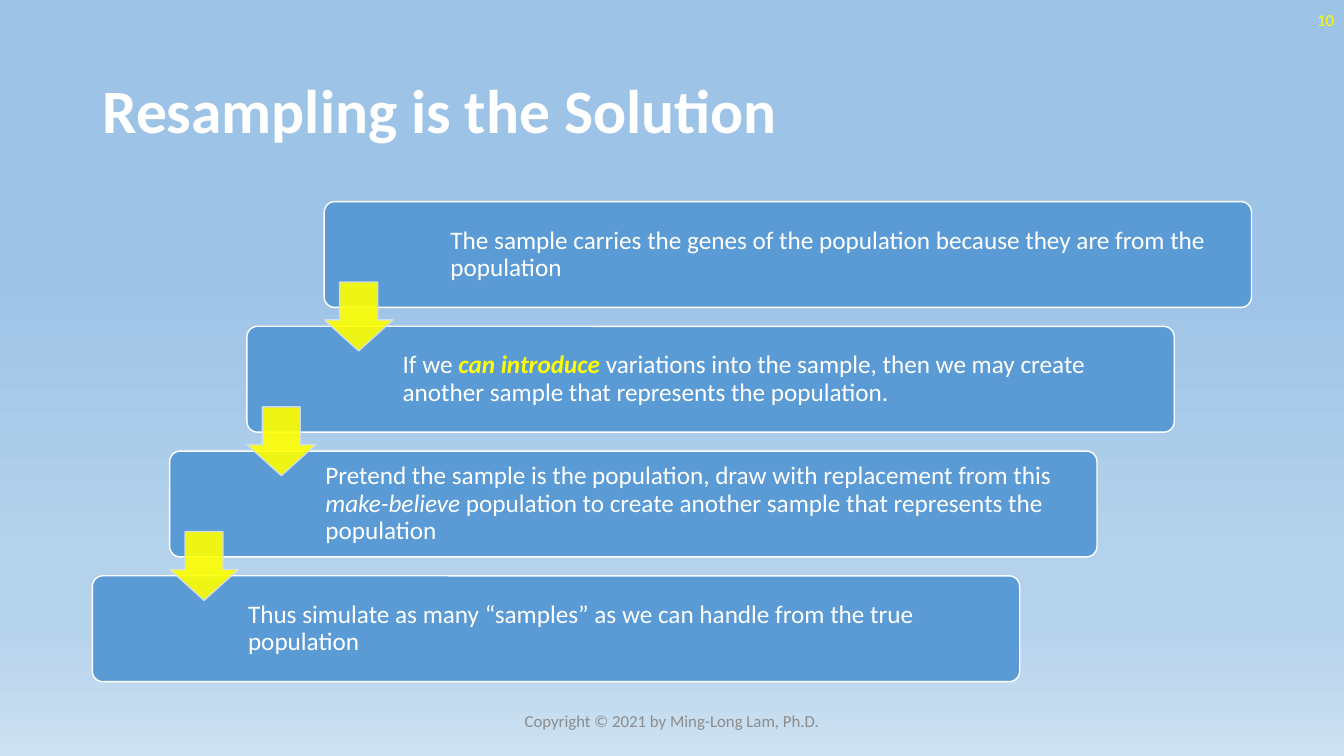
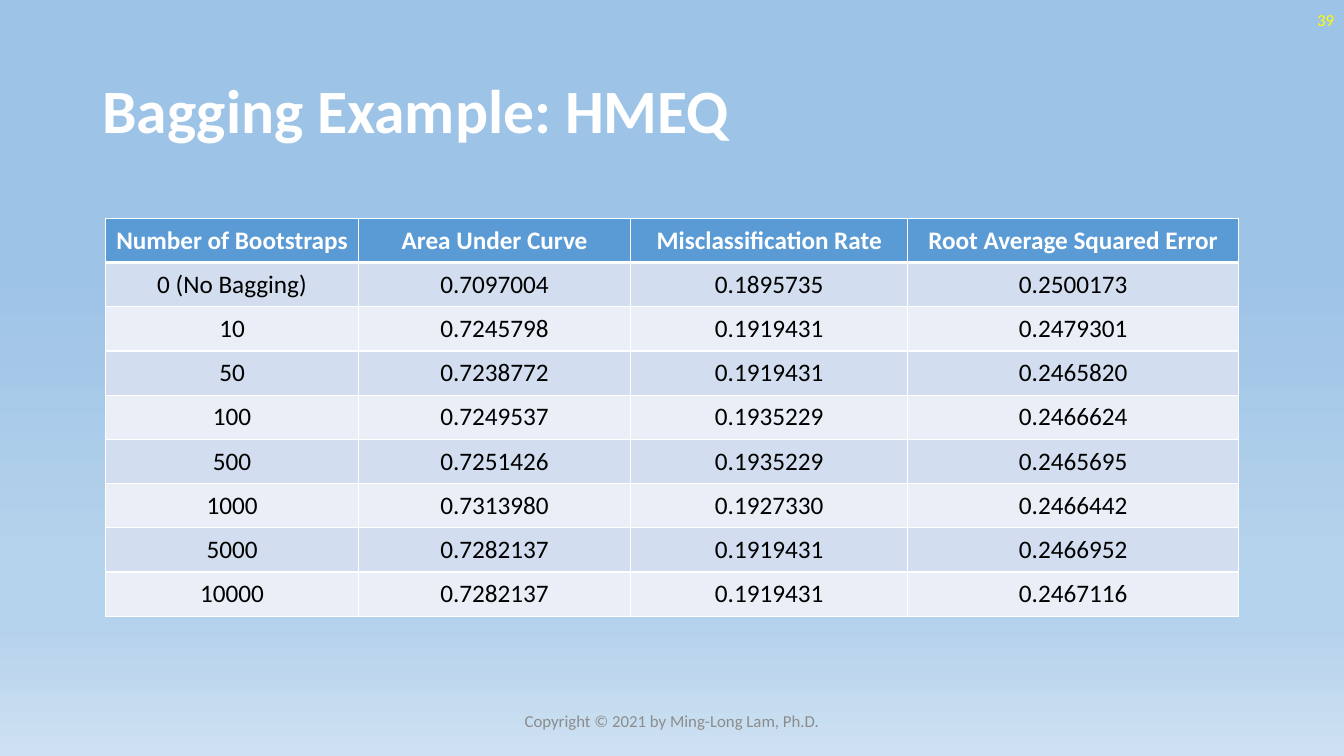
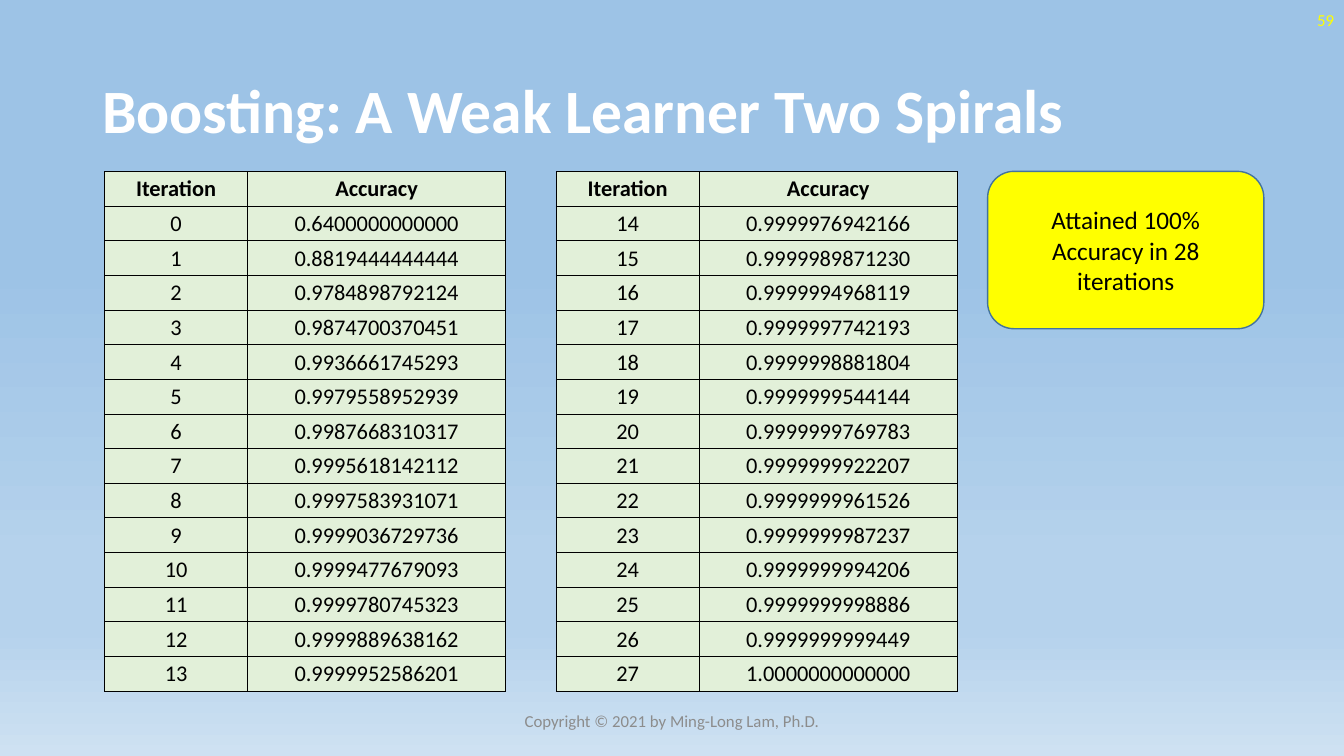
from lxml import etree
from pptx import Presentation
from pptx.dml.color import RGBColor
from pptx.enum import shapes, text
from pptx.oxml import ns
from pptx.util import Pt

WHITE, BLACK, YELLOW, BLUE = "FFFFFF", "000000", "FFFF00", "5B9BD5"
GREY, PALE_BLUE, PALER_BLUE, GREEN = "8C8C8C", "D2DEEF", "EAEFF7", "E2F0D9"
BACKDROP = [(35, "9DC3E6"), (74, "B5D2EC"), (83, "B5D2EC"), (100, "CEE1F2")]
LEFT, CENTER, RIGHT = text.PP_ALIGN.LEFT, text.PP_ALIGN.CENTER, text.PP_ALIGN.RIGHT
SIDES = ("left", "top", "right", "bottom")


def rgb(value):
    return RGBColor.from_string(value)


def write(box, runs, align, size, color, bold=False, spacing=1.0, insets=(7.2, 3.6, 7.2, 3.6)):
    """Fill a shape or a table cell with one paragraph of (text, format changes) runs."""
    tf = box.text_frame
    tf.word_wrap = True
    frame = box if hasattr(box, "margin_left") else tf
    frame.vertical_anchor = text.MSO_ANCHOR.MIDDLE
    for side, inset in zip(SIDES, insets):
        setattr(frame, "margin_" + side, Pt(inset))
    p = tf.paragraphs[0]
    p.alignment, p.line_spacing = align, spacing
    for words, changes in runs:
        r = p.add_run()
        r.text = words
        fmt = {"name": "Calibri", "size": Pt(size), "bold": bold, "color": color, **changes}
        r.font.color.rgb = rgb(fmt.pop("color"))
        for name, value in fmt.items():
            setattr(r.font, name, value)


prs = Presentation()
prs.slide_width, prs.slide_height = Pt(960), Pt(540)

# Gradient background, on the master
fill = prs.slide_master.background.fill
fill.gradient()
fill.gradient_angle = 270
stops = prs.slide_master.element.find(".//" + ns.qn("a:gsLst"))
for stop in list(stops):
    stops.remove(stop)
for percent, color in BACKDROP:
    stop = etree.SubElement(stops, ns.qn("a:gs"), pos=str(percent * 1000))
    etree.SubElement(stop, ns.qn("a:srgbClr"), val=color)

# Slides with title, page number and footer
slides = []
for title, number in [
    ("Resampling is the Solution", "10"),
    ("Bagging Example: HMEQ", "39"),
    ("Boosting: A Weak Learner Two Spirals", "59"),
]:
    s = prs.slides.add_slide(prs.slide_layouts[6])
    slides.append(s)
    for words, box, fmt in [
        (title, (66, 29, 828, 104.4),
         {"align": LEFT, "size": 44, "color": WHITE, "bold": True, "spacing": 0.9}),
        (number, (744, 0, 216, 28.8), {"align": RIGHT, "size": 12, "color": YELLOW}),
        ("Copyright © 2021 by Ming-Long Lam, Ph.D.", (318, 500.5, 324, 28.8),
         {"align": CENTER, "size": 12, "color": GREY}),
    ]:
        sp = s.shapes.add_textbox(*map(Pt, box))
        write(sp, [(words, {})], **fmt)

# Staircase of steps, first slide
steps = [
    [("The sample carries the genes of the population because they are from the population", {})],
    [("If we ", {}),
     ("can introduce ", {"bold": True, "italic": True, "color": YELLOW}),
     ("variations into the sample, then we may create another sample that represents "
      "the population.", {})],
    [("Pretend the sample is the population, draw with replacement from this ", {}),
     ("make-believe", {"italic": True}),
     (" population to create another sample that represents the population", {})],
    [("Thus simulate as many “samples” as we can handle from the true population", {})],
]
step_parts = []
for i, runs in enumerate(steps):
    x, y = 231.6 - 55.2 * i, 144 + 89.1 * i
    sp = slides[0].shapes.add_shape(
        shapes.MSO_SHAPE.ROUNDED_RECTANGLE, Pt(x), Pt(y), Pt(662.4), Pt(75.6))
    sp.adjustments[0] = 0.1
    write(sp, runs, LEFT, 18, WHITE, spacing=0.9, insets=(109 if i else 88, 5, 5, 5))
    step_parts.append((sp, BLUE, WHITE))

# Arrows from each step to the next
for i in range(len(steps) - 1):
    sp = slides[0].shapes.add_shape(
        shapes.MSO_SHAPE.DOWN_ARROW, Pt(231.6 - 55.2 * i), Pt(201.5 + 89.1 * i), Pt(49.2), Pt(49.2))
    sp.adjustments[0], sp.adjustments[1] = 0.55, 0.45
    step_parts.append((sp, YELLOW, PALE_BLUE))

# Callout, third slide
callout = slides[2].shapes.add_shape(
    shapes.MSO_SHAPE.ROUNDED_RECTANGLE, Pt(705.5), Pt(122.4), Pt(197.3), Pt(112.4))
write(callout, [("Attained 100% Accuracy in 28 iterations", {})], CENTER, 18, BLACK)

# Fill and outline of all shapes
for sp, color, outline in step_parts + [(callout, YELLOW, "43739E")]:
    sp.shadow.inherit = False
    sp.fill.solid()
    sp.fill.fore_color.rgb = rgb(color)
    sp.line.color.rgb = rgb(outline)
    sp.line.width = Pt(1)
    if sp.auto_shape_type == shapes.MSO_SHAPE.DOWN_ARROW:
        for tint in sp.element.spPr.iter(ns.qn("a:srgbClr")):
            etree.SubElement(tint, ns.qn("a:alpha"), val="90000")

# Table contents
bagging = [
    ("Number of Bootstraps", "Area Under Curve", "Misclassification Rate",
     "Root Average Squared Error"),
    ("0 (No Bagging)", "0.7097004", "0.1895735", "0.2500173"),
    ("10", "0.7245798", "0.1919431", "0.2479301"),
    ("50", "0.7238772", "0.1919431", "0.2465820"),
    ("100", "0.7249537", "0.1935229", "0.2466624"),
    ("500", "0.7251426", "0.1935229", "0.2465695"),
    ("1000", "0.7313980", "0.1927330", "0.2466442"),
    ("5000", "0.7282137", "0.1919431", "0.2466952"),
    ("10000", "0.7282137", "0.1919431", "0.2467116"),
]
accuracies = [
    "0.6400000000000", "0.8819444444444", "0.9784898792124", "0.9874700370451",
    "0.9936661745293", "0.9979558952939", "0.9987668310317", "0.9995618142112",
    "0.9997583931071", "0.9999036729736", "0.9999477679093", "0.9999780745323",
    "0.9999889638162", "0.9999952586201", "0.9999976942166", "0.9999989871230",
    "0.9999994968119", "0.9999997742193", "0.9999998881804", "0.9999999544144",
    "0.9999999769783", "0.9999999922207", "0.9999999961526", "0.9999999987237",
    "0.9999999994206", "0.9999999998886", "0.9999999999449", "1.0000000000000",
]
boosting = [(str(i), accuracy) for i, accuracy in enumerate(accuracies)]
half = len(boosting) // 2

# Table looks: header and body fills, text and borders
bagging_look = {
    "widths": (180.7, 194.4, 198, 236.2), "row_height": 31.6, "size": 18,
    "header": (BLUE, WHITE), "bands": (PALE_BLUE, PALER_BLUE),
    "border": WHITE, "thin": 1, "rule": 3, "insets": (7.2, 3.6, 7.2, 3.6),
}
boosting_look = {
    "widths": (102.2, 184.3), "row_height": 24.76, "size": 16,
    "header": (GREEN, BLACK), "bands": (GREEN, GREEN),
    "border": BLACK, "thin": 0.5, "rule": 0.5, "insets": (0.72, 0.72, 0.72, 0),
}
tables = [(slides[1], 75.4, 156, bagging, bagging_look)]
for i in range(2):
    rows = [("Iteration", "Accuracy")] + boosting[half * i:half * (i + 1)]
    tables.append((slides[2], 74.7 + 322.6 * i, 122.4, rows, boosting_look))

# Tables
for s, x, y, rows, look in tables:
    widths, row_height = look["widths"], look["row_height"]
    table = s.shapes.add_table(
        len(rows), len(widths), Pt(x), Pt(y), Pt(sum(widths)), Pt(row_height * len(rows))).table
    table.first_row = table.horz_banding = False
    for column, width in zip(table.columns, widths):
        column.width = Pt(width)
    for i, row in enumerate(rows):
        table.rows[i].height = Pt(row_height)
        back, ink = look["header"] if i == 0 else (look["bands"][(i - 1) % 2], BLACK)
        for j, words in enumerate(row):
            cell = table.cell(i, j)
            write(cell, [(words, {})], CENTER, look["size"], ink, bold=i == 0,
                  insets=look["insets"])
            tcPr = cell._tc.get_or_add_tcPr()
            for side in "LRTB":
                under_header = (i, side) in [(0, "B"), (1, "T")]
                width = look["rule"] if under_header else look["thin"]
                ln = etree.SubElement(tcPr, ns.qn("a:ln" + side), w=str(Pt(width)))
                solid = etree.SubElement(ln, ns.qn("a:solidFill"))
                etree.SubElement(solid, ns.qn("a:srgbClr"), val=look["border"])
            cell.fill.solid()
            cell.fill.fore_color.rgb = rgb(back)

prs.save("out.pptx")
